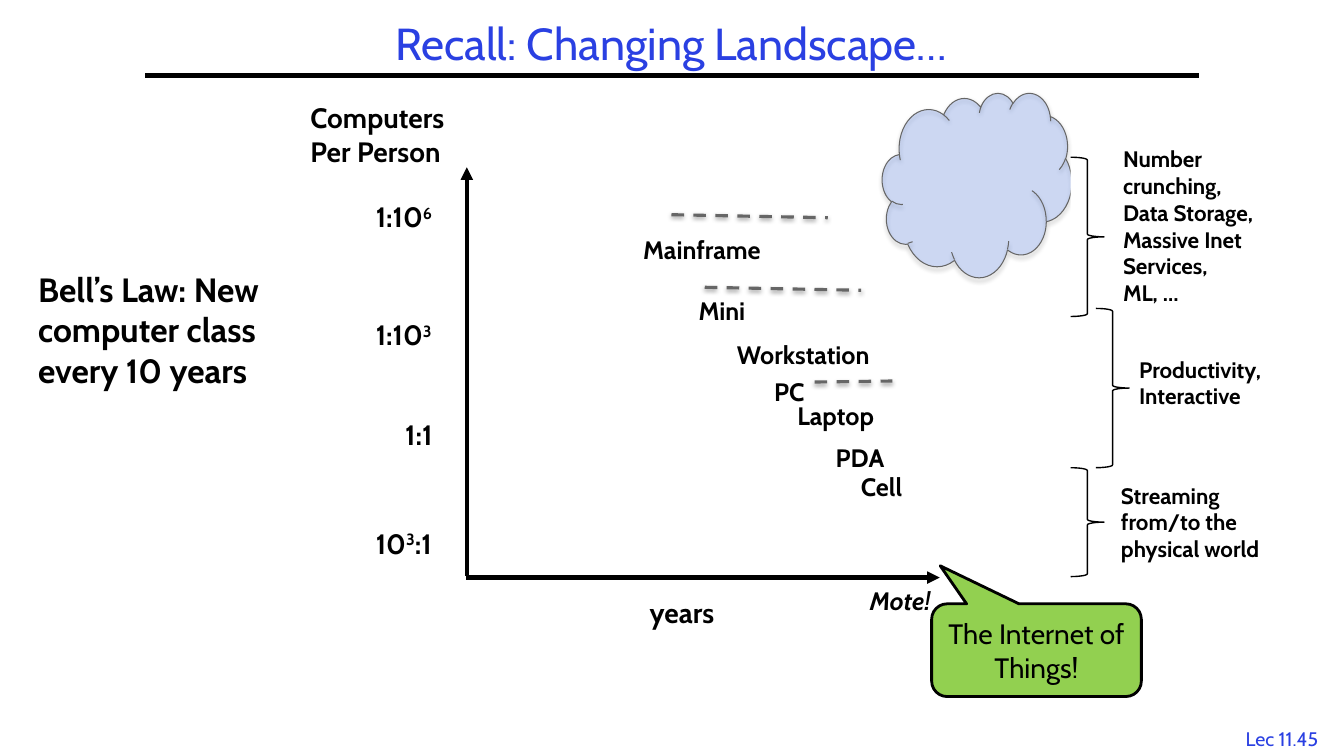
"""Build the slide on Bell's Law and the changing computer landscape."""
import pptx
import pptx.util
import pptx.dml.color
import pptx.enum.dml
import pptx.enum.shapes
import pptx.enum.text
import pptx.oxml
import pptx.oxml.ns

Inches = pptx.util.Inches
Pt = pptx.util.Pt
RGBColor = pptx.dml.color.RGBColor
Align = pptx.enum.text.PP_ALIGN
Anchor = pptx.enum.text.MSO_ANCHOR
Kind = pptx.enum.shapes.MSO_SHAPE

BLACK = RGBColor(0x00, 0x00, 0x00)
WHITE = RGBColor(0xFF, 0xFF, 0xFF)
BLUE = RGBColor(0x2A, 0x40, 0xE2)
GRAY = RGBColor(0x66, 0x66, 0x66)
GREEN = RGBColor(0x92, 0xD0, 0x50)
SKY = RGBColor(0x0B, 0x52, 0xFC)
FONT = "Cabin"

TITLE = "Recall: Changing Landscape…"
FOOTER = "Lec 11.45"
LAW = "Bell’s Law: New computer class every 10 years"
AXES = [
    (["years"], (6.21, 5.86, 1.11, 0.44), Align.CENTER),
    (["Computers", "Per Person"], (2.98, 0.95, 1.88, 0.77), Align.LEFT),
]
TICKS = [
    ("1:10^6", 3.63, 1.93),
    ("1:10^3", 3.63, 3.1),
    ("1:1", 3.92, 4.09),
    ("10^3^:1", 3.63, 5.17),
]
CLASSES = [
    ("Mainframe", 6.28, 2.28, 2.05),
    ("Mini", 6.83, 2.88, 1.11),
    ("Workstation", 7.21, 3.32, 1.97),
    ("PC", 7.58, 3.68, 0.73),
    ("Laptop", 7.81, 3.92, 1.61),
    ("PDA", 8.19, 4.34, 0.94),
    ("Cell", 8.44, 4.63, 0.77),
]
ARROWS = [(4.62, 5.73, 9.32, 5.73), (4.63, 5.71, 4.63, 1.66)]
DASHES = [
    (6.66, 2.13, 8.21, 2.16),
    (6.99, 2.85, 8.54, 2.88),
    (8.08, 3.79, 8.85, 3.78),
]
BRACES = [(10.62, 1.56, 1.58), (10.87, 3.06, 1.58), (10.62, 4.64, 1.08)]
USES = [
    (["Number crunching, Data Storage, Massive Inet Services,", "ML, …"],
     (11.04, 1.39, 1.67, 1.72)),
    (["Productivity,", "Interactive"], (11.2, 3.48, 1.67, 0.64)),
    (["Streaming from/to the physical world"], (11.02, 4.73, 1.67, 1.18)),
]

deck = pptx.Presentation()
deck.slide_width, deck.slide_height = Inches(13.33), Inches(7.5)
slide = deck.slides.add_slide(deck.slide_layouts[6])
shapes = slide.shapes


def node(xml):
    """Parse one drawing element."""
    space = pptx.oxml.ns.nsdecls("a")
    return pptx.oxml.parse_xml(xml.replace(" ", f" {space} ", 1))


def write(frame, lines, size, color=BLACK, bold=True, italic=False,
          align=Align.LEFT, anchor=Anchor.TOP):
    """Fill a frame; text between carets is superscript."""
    frame.word_wrap = True
    frame.vertical_anchor = anchor
    for i, line in enumerate(lines):
        para = frame.paragraphs[0] if i == 0 else frame.add_paragraph()
        para.alignment = align
        for j, part in enumerate(line.split("^")):
            run = para.add_run()
            run.text = part
            font = run.font
            font.name, font.size = FONT, Pt(size)
            font.bold, font.italic = bold, italic
            font.color.rgb = color
            if j % 2:
                run._r.get_or_add_rPr().set("baseline", "30000")


def label(lines, box, size, **style):
    """Add a text box."""
    frame = shapes.add_textbox(*map(Inches, box)).text_frame
    write(frame, lines, size, **style)
    return frame


def rule(ends, color, width):
    """Add a straight line without shadow."""
    line = shapes.add_connector(
        pptx.enum.shapes.MSO_CONNECTOR.STRAIGHT, *map(Inches, ends))
    line.line.color.rgb = color
    line.line.width = Pt(width)
    line._element.spPr.append(node("<a:effectLst />"))
    return line


def form(kind, box, fill, color, width):
    """Add a filled preset shape."""
    shape = shapes.add_shape(kind, *map(Inches, box))
    shape.shadow.inherit = False
    shape.fill.solid()
    shape.fill.fore_color.rgb = fill
    shape.line.color.rgb = color
    shape.line.width = Pt(width)
    return shape


def shade(shape, alpha, gap):
    """Give a shape a soft shadow straight below it."""
    effects = shape._element.spPr.find(pptx.oxml.ns.qn("a:effectLst"))
    effects.append(node(
        f'<a:outerShdw blurRad="40000" dist="{gap}" dir="5400000" '
        f'rotWithShape="0"><a:srgbClr val="000000"><a:alpha val="{alpha}000"/>'
        '</a:srgbClr></a:outerShdw>'))


def main():
    """Place every part and save the deck."""
    label([FOOTER], (12.18, 7.16, 1.07, 0.33), 14, color=BLUE, bold=False,
          align=Align.CENTER)
    rule((1.44, 0.75, 11.89, 0.75), BLACK, 3)
    title = label([TITLE], (1.44, 0.17, 10.44, 0.58), 32, color=BLUE,
                  bold=False, align=Align.CENTER, anchor=Anchor.MIDDLE)
    title.paragraphs[0].line_spacing = 0.9

    for lines, box, align in AXES:
        label(lines, box, 20, align=align)
    for text, left, top in TICKS:
        label([text], (left, top, 4.63 - left, 0.44), 20)
    for ends in ARROWS:
        arrow = rule(ends, BLACK, 3)
        arrow.line._get_or_add_ln().append(node('<a:tailEnd type="triangle"/>'))
    for text, left, top, width in CLASSES:
        label([text], (left, top, width, 0.41), 18)
    label(["Mote!"], (8.53, 5.76, 0.85, 0.71), 18, italic=True)

    for ends in DASHES:
        dash = rule(ends, GRAY, 2.25)
        dash.line.dash_style = pptx.enum.dml.MSO_LINE.DASH
        shade(dash, 38, 20000)
    cloud = form(Kind.CLOUD, (8.75, 0.92, 1.88, 1.83), SKY, GRAY, 0.75)
    tint = cloud._element.spPr.find(".//" + pptx.oxml.ns.qn("a:srgbClr"))
    tint.append(node('<a:alpha val="16000"/>'))
    shade(cloud, 35, 23000)

    label([LAW], (0.28, 2.62, 3.17, 1.31), 24)
    note = form(Kind.ROUNDED_RECTANGULAR_CALLOUT, (9.24, 5.99, 2.08, 0.92),
                GREEN, BLACK, 2)
    for i, value in enumerate((-0.459, -0.91, 0.167)):
        note.adjustments[i] = value
    write(note.text_frame, ["The Internet of Things!"], 20, bold=False,
          align=Align.CENTER, anchor=Anchor.MIDDLE)
    for left, top, height in BRACES:
        form(Kind.RIGHT_BRACE, (left, top, 0.33, height), WHITE, BLACK, 1)
    for lines, box in USES:
        label(lines, box, 16)
    deck.save("out.pptx")


if __name__ == "__main__":
    main()
